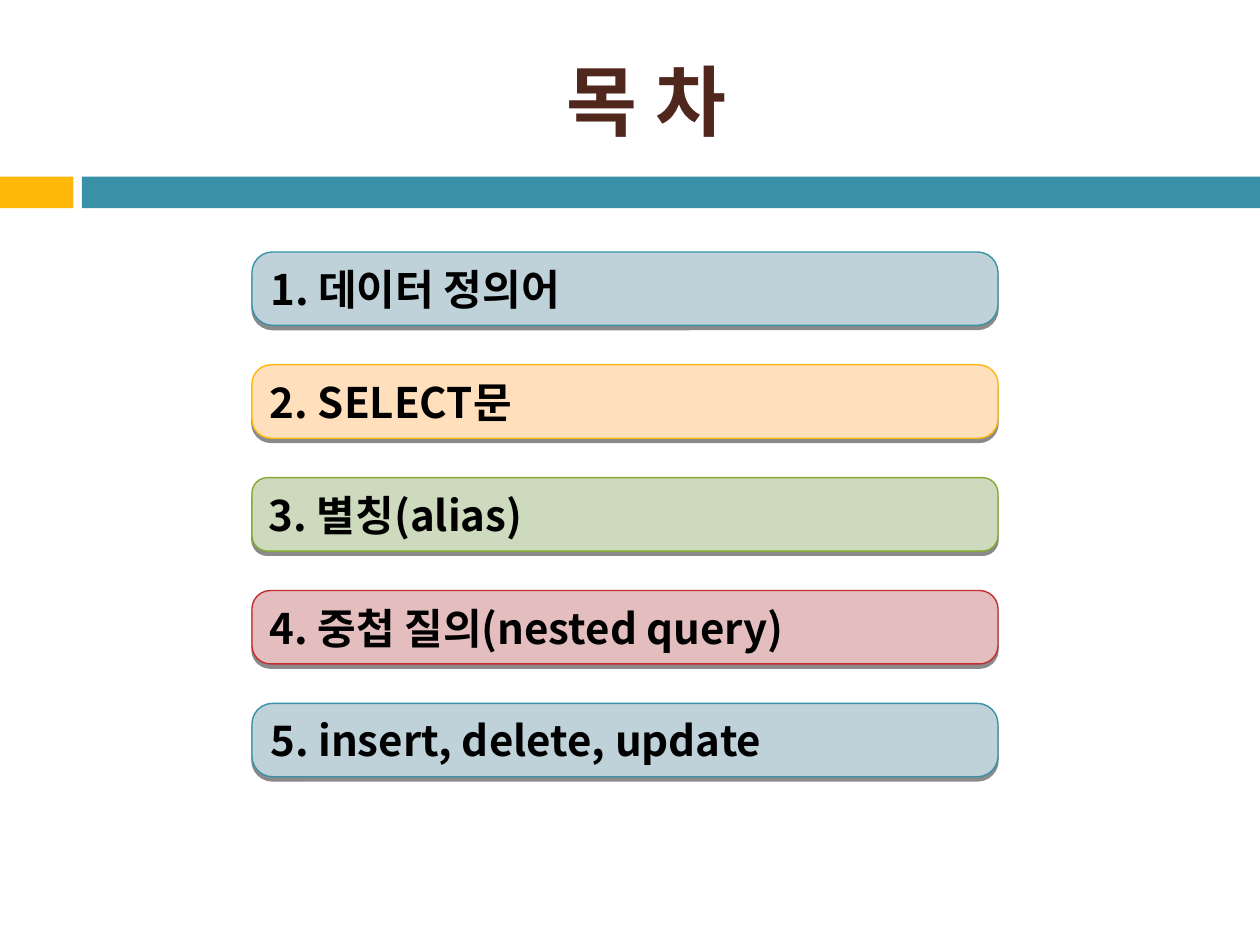
from lxml import etree
from pptx import Presentation
from pptx.dml.color import RGBColor
from pptx.enum.shapes import MSO_SHAPE
from pptx.enum.text import MSO_ANCHOR, PP_ALIGN
from pptx.oxml import parse_xml
from pptx.oxml.ns import nsdecls, qn
from pptx.util import Cm, Pt

RECT, ROUNDED = MSO_SHAPE.RECTANGLE, MSO_SHAPE.ROUNDED_RECTANGLE
MIDDLE = MSO_ANCHOR.MIDDLE
LEFT, CENTER = PP_ALIGN.LEFT, PP_ALIGN.CENTER

THEME = {
    "font": "Noto Sans CJK KR",
    "title_size": 44, "item_size": 24,
    "title": "4F271C", "text": "000000",
    "teal": "3891A7", "pale_teal": "BFD2D9",
    "gold": "FEB80A", "pale_gold": "FFDFBC",
    "green": "84AA33", "pale_green": "CEDABE",
    "red": "C32D2E", "pale_red": "E4BEBE",
}
SHADOW = (
    f'<a:effectLst {nsdecls("a")}><a:outerShdw blurRad="0" dist="30480" dir="5400000" '
    'rotWithShape="0"><a:srgbClr val="000000"><a:alpha val="45000"/></a:srgbClr>'
    '</a:outerShdw></a:effectLst>'
)


def color(name):
    return RGBColor.from_string(THEME[name])


def write(tf, text, size, fill, align=LEFT):
    tf.word_wrap = True
    tf.vertical_anchor = MIDDLE
    p = tf.paragraphs[0]
    p.alignment = align
    r = p.add_run()
    r.text = text
    r.font.name = THEME["font"]
    r.font.size = Pt(THEME[size])
    r.font.bold = True
    r.font.color.rgb = color(fill)
    etree.SubElement(r.font._element, qn("a:ea"), typeface=THEME["font"])


prs = Presentation()
prs.slide_width, prs.slide_height = Cm(25.4), Cm(19.05)
s = prs.slides.add_slide(prs.slide_layouts[6])

for left, width, fill in [(0, 1.48, "gold"), (1.65, 23.75, "teal")]:
    sp = s.shapes.add_shape(RECT, Cm(left), Cm(3.56), Cm(width), Cm(0.64))
    sp.shadow.inherit = False
    sp.fill.solid()
    sp.fill.fore_color.rgb = color(fill)
    sp.line.fill.background()

title = s.shapes.add_textbox(Cm(1.7), Cm(0.64), Cm(22.66), Cm(2.74))
write(title.text_frame, "목 차", size="title_size", fill="title", align=CENTER)

items = [
    ("1. 데이터 정의어", "teal", 0.28),
    ("2. SELECT문", "gold", 0.26),
    ("3. 별칭(alias)", "green", 0.21),
    ("4. 중첩 질의(nested query)", "red", 0.25),
    ("5. insert, delete, update", "teal", 0.28),
]
for i, (text, hue, rounding) in enumerate(items):
    sp = s.shapes.add_shape(ROUNDED, Cm(5.08), Cm(5.08 + 2.275 * i), Cm(15.04), Cm(1.48))
    sp.adjustments[0] = rounding
    sp.fill.solid()
    sp.fill.fore_color.rgb = color(f"pale_{hue}")
    sp.line.color.rgb = color(hue)
    sp.line.width = Pt(0.79)
    sp._element.spPr.append(parse_xml(SHADOW))
    write(sp.text_frame, text, size="item_size", fill="text")

prs.save("out.pptx")
